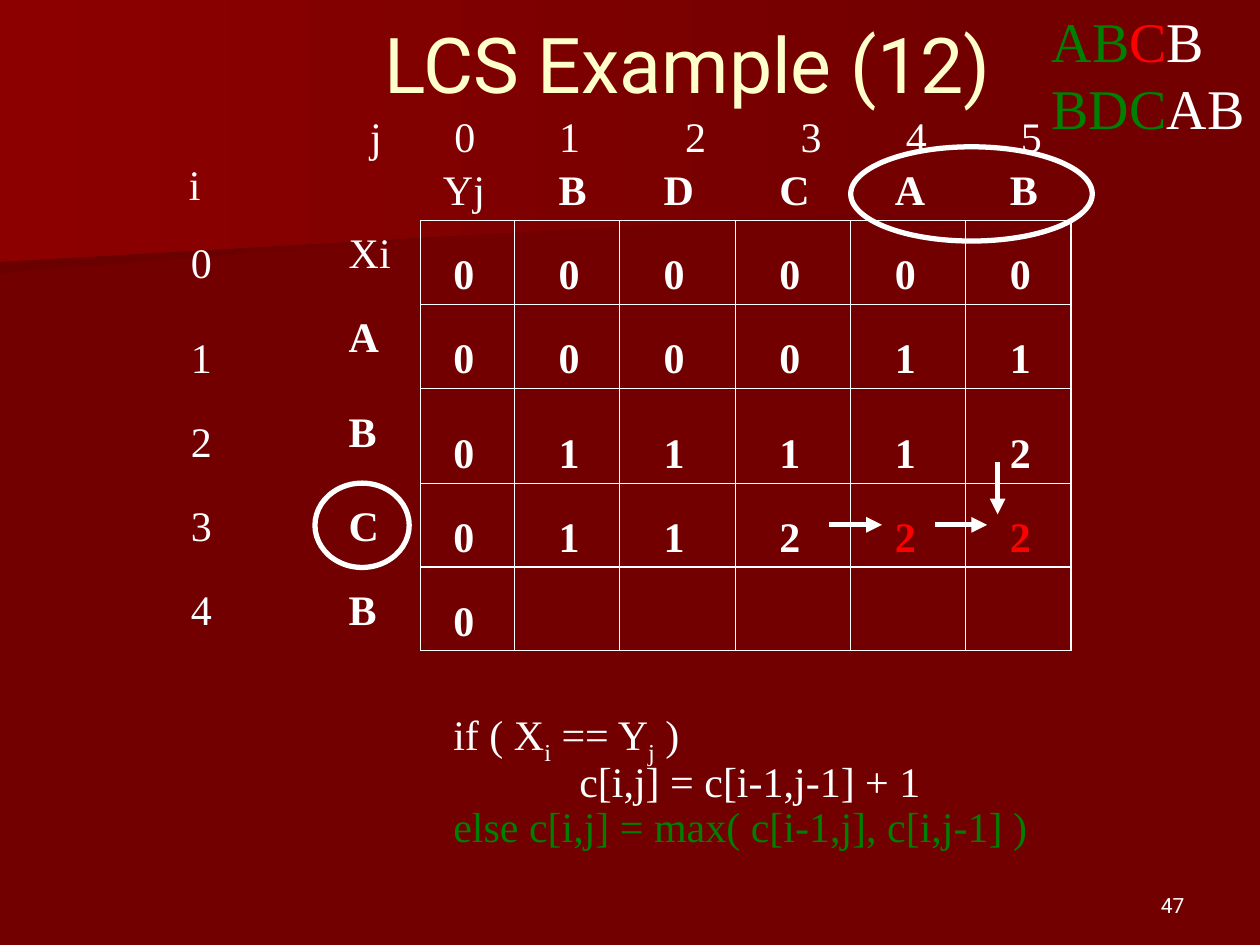
from dataclasses import dataclass

from lxml import etree
from pptx import Presentation
from pptx.dml.color import RGBColor
from pptx.enum.shapes import MSO_CONNECTOR, MSO_SHAPE
from pptx.enum.text import MSO_ANCHOR, MSO_AUTO_SIZE, PP_ALIGN
from pptx.oxml.ns import qn
from pptx.util import Cm, Pt

STRAIGHT, OVAL = MSO_CONNECTOR.STRAIGHT, MSO_SHAPE.OVAL
CENTER, RIGHT = PP_ALIGN.CENTER, PP_ALIGN.RIGHT
TOP, MIDDLE, BOTTOM = MSO_ANCHOR.TOP, MSO_ANCHOR.MIDDLE, MSO_ANCHOR.BOTTOM
FIT = MSO_AUTO_SIZE.SHAPE_TO_FIT_TEXT


@dataclass(frozen=True)
class Theme:
    back: str = "720000"
    rays: tuple = ("6B0000", "8C0000")
    title: str = "FFFFCC"
    ink: str = "FFFFFF"
    green: str = "008000"
    red: str = "FF0000"
    heading_font: str = "Roboto"
    body_font: str = "Times New Roman"
    title_size: int = 44
    strings_size: int = 32
    body_size: int = 24
    number_size: int = 12
    grid_line: float = 0.75
    mark_line: float = 3


THEME = Theme()

# Content
TITLE = "LCS Example (12)"
PAGE_NUMBER = "47"
J_LABELS = "j\t0\t1\t2\t3\t4\t5"
Y_LETTERS = ["Yj", "B", "D", "C", "A", "B"]
X_LETTERS = ["Xi", "A", "B", "C", "B"]
SCORES = ["000000", "000011", "011112", "011222", "0"]
NEW_SCORES = {(3, 4), (3, 5)}
STRINGS = [
    [("AB", THEME.green), ("C", THEME.red), ("B", THEME.ink)],
    [("BDC", THEME.green), ("AB", THEME.ink)],
]
# Each rule line: indent, then runs of text, colour and baseline shift in percent
RULE = [
    (5.08, [("if ( X", THEME.ink, 0), ("i", THEME.ink, -25), (" == Y", THEME.ink, 0),
            ("j", THEME.ink, -25), (" )", THEME.ink, 0)]),
    (7.62, [("c[i,j] = c[i-1,j-1] + 1", THEME.ink, 0)]),
    (5.08, [("else c[i,j] = max( c[i-1,j], c[i,j-1] )", THEME.green, 0)]),
]

# Layout in centimetres
COLUMN_LINES = [8.47, 10.37, 12.49, 14.82, 17.15, 19.47, 21.59]
ROW_LINES = [4.45, 6.14, 7.83, 9.74, 11.43, 13.12]
SCORE_LEFTS = [8.89] + [x + 0.64 for x in COLUMN_LINES[1:-1]]
SCORE_TOPS = [4.87, 6.56, 8.47, 10.16, 11.85]
LETTER_TOPS = [4.45, 6.14, 8.05, 9.95, 11.64]
INDEX_TOPS = [4.65, 6.56, 8.26, 9.95, 11.64]
INDEX_LEFT, LETTER_LEFT, HEADER_TOP = 3.6, 6.78, 3.18
J_TABS = [1.7, 3.81, 6.35, 8.68, 10.8, 13.12]
LABEL_HEIGHT = 1.27
LABEL_WIDTHS = {"i": 0.75, "Xi": 1.5, "Yj": 1.5, "B": 1.1, "A": 1.15, "C": 1.15, "D": 1.15}
DIGIT_WIDTH = 0.95
RAYS = [
    [(19.76, 3.89), (0, 5.51), (0, 2.57), (19.79, 2.57), (19.76, 3.25)],
    [(20.12, 4.11), (0, 5.28), (0, 0), (20.12, 0)],
]
ARROWS = [
    (16.72, 10.58, 17.78, 10.58),
    (18.85, 10.58, 19.9, 10.58),
    (20.11, 9.31, 20.11, 10.37),
]
RINGS = [(17.15, 2.96, 4.87, 1.9), (6.35, 9.74, 1.9, 1.7)]


def color(code):
    return RGBColor.from_string(code)


def add_ray(page, points, start_color):
    """Draw a background wedge that fades rightwards into the page colour."""
    corners = [(Cm(x), Cm(y)) for x, y in points]
    builder = page.shapes.build_freeform(*corners[0])
    builder.add_line_segments(corners[1:], close=True)
    ray = builder.convert_to_shape()
    ray.shadow.inherit = False
    ray.line.fill.background()
    ray.fill.gradient()
    ray.fill.gradient_angle = 0
    for stop, code in zip(ray.fill.gradient_stops, (start_color, THEME.back)):
        stop.color.rgb = color(code)


def add_line(page, ends, width, arrow=False):
    line = page.shapes.add_connector(STRAIGHT, *(Cm(value) for value in ends))
    line.line.color.rgb = color(THEME.ink)
    line.line.width = Pt(width)
    if arrow:
        etree.SubElement(line.line._get_or_add_ln(), qn("a:tailEnd"), type="triangle")
    etree.SubElement(line._element.spPr, qn("a:effectLst"))


def add_ring(page, place):
    ring = page.shapes.add_shape(OVAL, *(Cm(value) for value in place))
    ring.shadow.inherit = False
    ring.fill.background()
    ring.line.color.rgb = color(THEME.ink)
    ring.line.width = Pt(THEME.mark_line)


def add_box(page, place, wrap=True, anchor=TOP, fit=True):
    box = page.shapes.add_textbox(*(Cm(value) for value in place))
    frame = box.text_frame
    frame.word_wrap = wrap
    frame.vertical_anchor = anchor
    if fit:
        frame.auto_size = FIT
    return frame


def next_para(frame, number):
    return frame.add_paragraph() if number else frame.paragraphs[0]


def add_span(para, text, code=THEME.ink, size=THEME.body_size, font=THEME.body_font, bold=False):
    span = para.add_run()
    span.text = text
    span.font.name = font
    span.font.size = Pt(size)
    span.font.bold = bold
    span.font.color.rgb = color(code)
    return span


def add_label(page, text, left, top, code=THEME.ink, bold=False):
    width = LABEL_WIDTHS.get(text, DIGIT_WIDTH)
    frame = add_box(page, (left, top, width, LABEL_HEIGHT), wrap=False)
    add_span(frame.paragraphs[0], text, code, bold=bold)


def add_heading(page, text, place, align, anchor, code, size):
    para = add_box(page, place, anchor=anchor, fit=False).paragraphs[0]
    para.alignment = align
    add_span(para, text, code, size, THEME.heading_font)


def add_j_labels(page):
    para = add_box(page, (7.21, 2.11, 14.27, LABEL_HEIGHT)).paragraphs[0]
    stops = etree.SubElement(para._p.get_or_add_pPr(), qn("a:tabLst"))
    for position in J_TABS:
        etree.SubElement(stops, qn("a:tab"), pos=str(Cm(position)), algn="l")
    add_span(para, J_LABELS)


def add_score_grid(page):
    """Draw the grid lines, its row and column labels, and the scores."""
    for x in COLUMN_LINES:
        add_line(page, (x, ROW_LINES[0], x, ROW_LINES[-1]), THEME.grid_line)
    for y in ROW_LINES:
        add_line(page, (COLUMN_LINES[0], y, COLUMN_LINES[-1], y), THEME.grid_line)
    add_j_labels(page)
    add_label(page, "i", 3.56, 3.07)
    for row, letter in enumerate(X_LETTERS):
        add_label(page, str(row), INDEX_LEFT, INDEX_TOPS[row])
        add_label(page, letter, LETTER_LEFT, LETTER_TOPS[row], bold=row > 0)
    for letter, left in zip(Y_LETTERS, [8.68] + SCORE_LEFTS[1:]):
        add_label(page, letter, left, HEADER_TOP, bold=letter != "Yj")
    for row, scores in enumerate(SCORES):
        for column, score in enumerate(scores):
            code = THEME.red if (row, column) in NEW_SCORES else THEME.ink
            add_label(page, score, SCORE_LEFTS[column], SCORE_TOPS[row], code, True)


def add_rule(page):
    frame = add_box(page, (3.81, 14.18, 17.6, 3.12))
    for number, (indent, spans) in enumerate(RULE):
        para = next_para(frame, number)
        para.line_spacing = 0.9
        para._p.get_or_add_pPr().set("marL", str(Cm(indent)))
        for text, code, shift in spans:
            span = add_span(para, text, code)
            if shift:
                span._r.get_or_add_rPr().set("baseline", str(shift * 1000))


def add_strings(page):
    frame = add_box(page, (20.95, 0, 4.45, 2.97))
    for number, spans in enumerate(STRINGS):
        para = next_para(frame, number)
        for text, code in spans:
            add_span(para, text, code, THEME.strings_size)


def main():
    deck = Presentation()
    deck.slide_width, deck.slide_height = Cm(25.4), Cm(19.05)
    page = deck.slides.add_slide(deck.slide_layouts[6])
    page.background.fill.solid()
    page.background.fill.fore_color.rgb = color(THEME.back)
    for points, code in zip(RAYS, THEME.rays):
        add_ray(page, points, code)
    add_heading(page, PAGE_NUMBER, (18.2, 17.36, 5.93, 1.27), RIGHT, BOTTOM,
                THEME.ink, THEME.number_size)
    add_heading(page, TITLE, (2.33, 0, 23.07, 2.54), CENTER, MIDDLE,
                THEME.title, THEME.title_size)
    add_score_grid(page)
    add_rule(page)
    for ends in ARROWS:
        add_line(page, ends, THEME.mark_line, arrow=True)
    for place in RINGS:
        add_ring(page, place)
    add_strings(page)
    deck.save("out.pptx")


if __name__ == "__main__":
    main()
